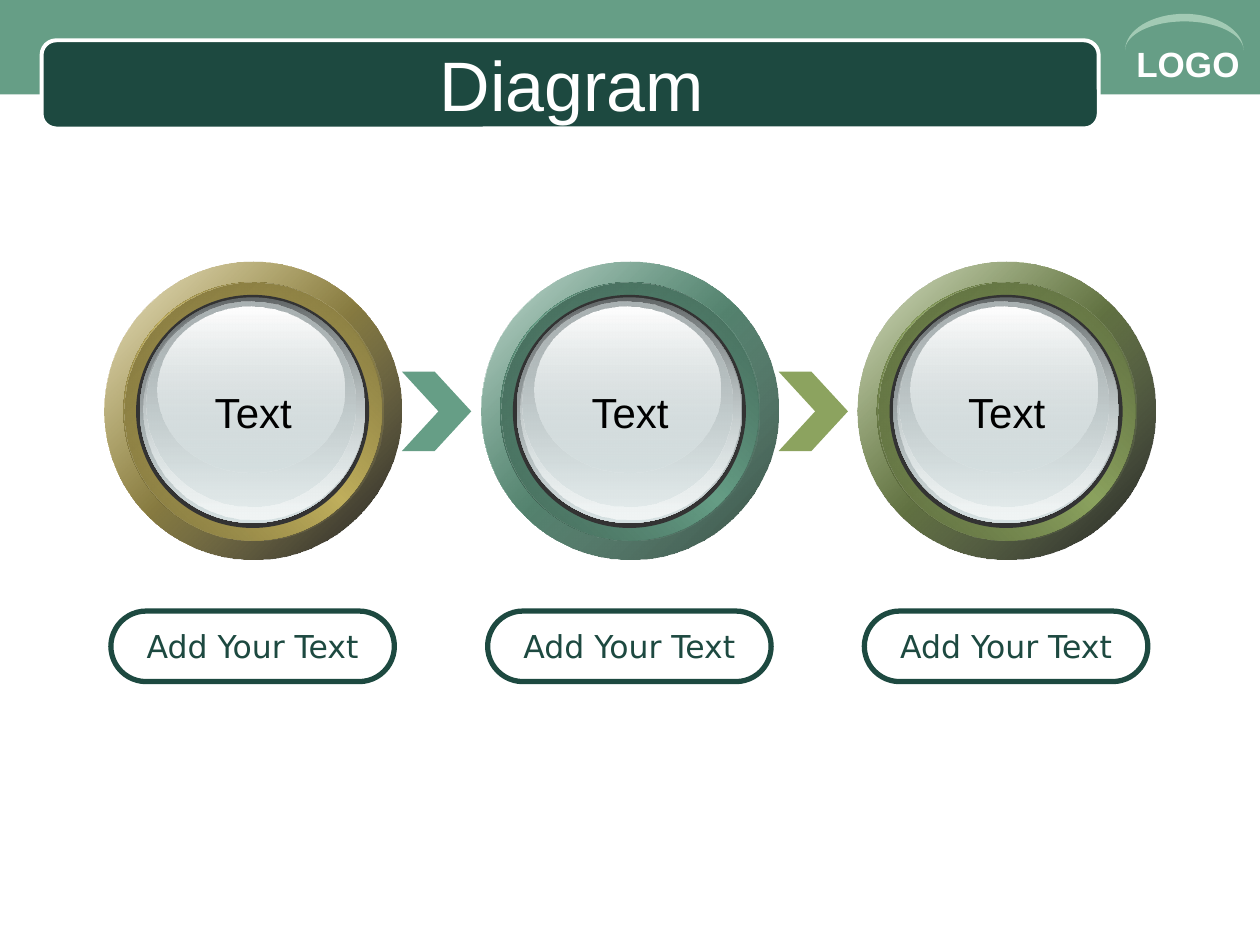
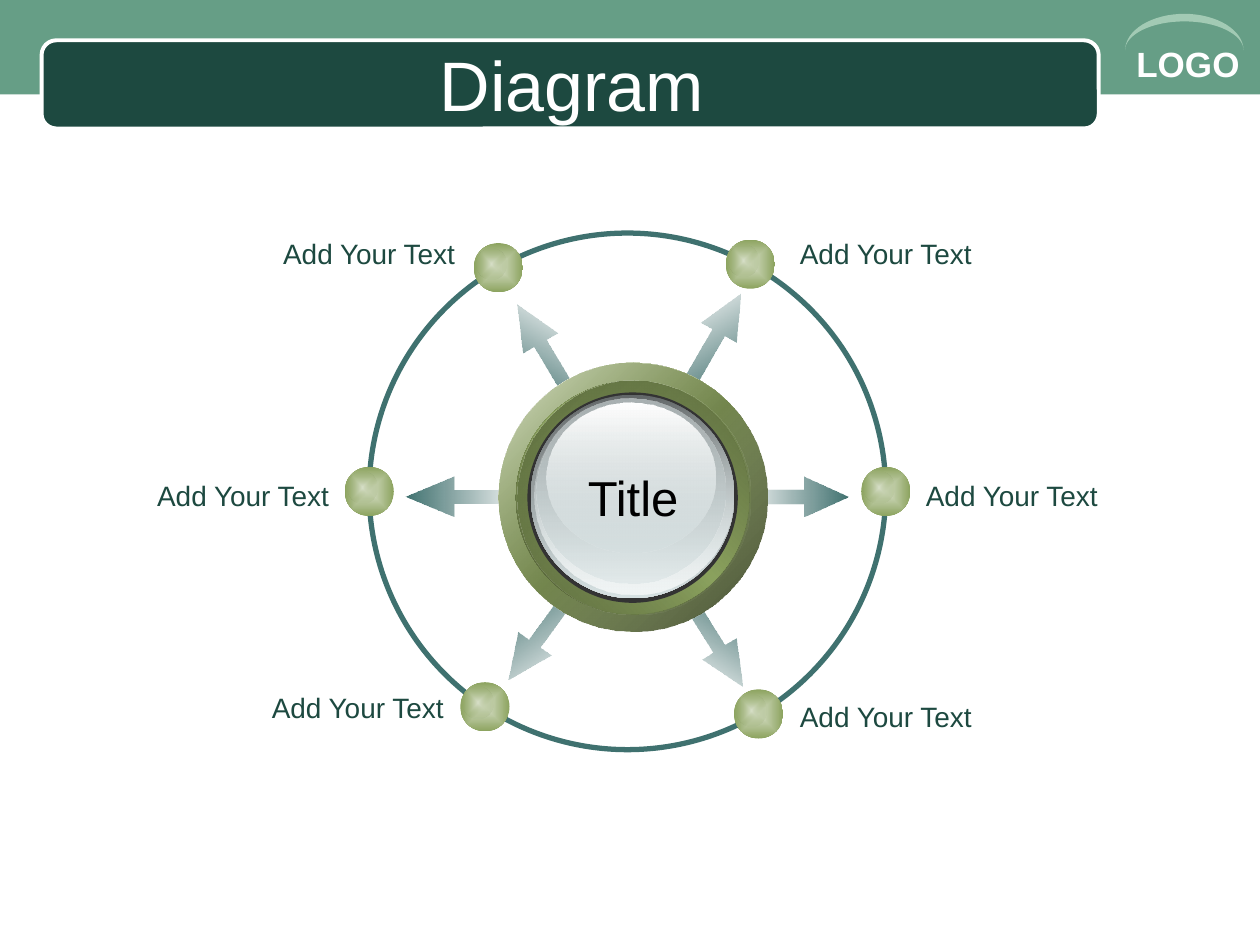
from math import cos, pi, radians, sin

from lxml import etree
from pptx import Presentation
from pptx.dml.color import RGBColor
from pptx.enum.shapes import MSO_SHAPE as Shape
from pptx.enum.text import MSO_ANCHOR as Anchor, MSO_AUTO_SIZE as AutoSize, PP_ALIGN as Align
from pptx.oxml.ns import nsdecls, qn
from pptx.util import Inches, Pt

# Palette
WHITE, BLACK, CHARCOAL = "FFFFFF", "000000", "333333"
FOREST, SAGE, MINT, OLIVE, LAGOON = "1D4940", "669E86", "A2CAB4", "8CA35F", "3F716F"

# Orb tones: face, rim edge, rim sheen, shadow (colour and opacity)
GOLD_ORB = ("C1B05D", "685F32", "7B703B", (BLACK, 90))
TEAL_ORB = (SAGE, "375649", "416455", ("2F493E", 100))
OLIVE_ORB = (OLIVE, "4C5833", "59683C", (BLACK, 90))
HUB_ORB = OLIVE_ORB[:3] + (("414B2C", 100),)

# Content of the process slide: orb text, caption, tones, colour of the chevron after it
PROCESS_TITLE = "Diagram"
STEPS = [
    ("Text", "Add Your Text", GOLD_ORB, SAGE),
    ("Text", "Add Your Text", TEAL_ORB, OLIVE),
    ("Text", "Add Your Text", OLIVE_ORB, None),
]
STEP_LEFT, STEP_TOP, STEP_PITCH, ORB_SIZE = 0.83, 2.08, 2.99, 2.36

# Content of the hub slide: label, its left and top, alignment, bead angle,
# arrow centre, arrow turn, arrow length
HUB_TITLE, HUB_TEXT = "Diagram", "Title"
SPOKES = [
    ("Add Your Text", (6.25, 1.83), Align.LEFT, 298.4, (5.66, 2.71), 299.6, 0.87),
    ("Add Your Text", (7.25, 3.75), Align.LEFT, 0, (6.3, 3.94), 0, 0.87),
    ("Add Your Text", (6.25, 5.5), Align.LEFT, 59.5, (5.66, 5.08), 57.8, 0.87),
    ("Add Your Text", (2.01, 5.43), Align.RIGHT, 123.5, (4.29, 5.04), 125.6, 0.87),
    ("Add Your Text", (1.1, 3.75), Align.RIGHT, 180, (3.69, 3.94), 180, 0.94),
    ("Add Your Text", (2.1, 1.83), Align.RIGHT, 240, (4.33, 2.79), 239.5, 0.87),
]
WHEEL_X, WHEEL_Y, WHEEL_RADIUS = 4.98, 3.9, 2.05
HUB_LEFT, HUB_TOP, HUB_SIZE = 3.96, 2.88, 2.13


def rgb(value):
    return RGBColor.from_string(value)


def inches(*values):
    return [Inches(value) for value in values]


def gradient(shape, stops, angle=None):
    """Fill with (position, colour, opacity) stops; no angle means from the centre."""
    stop_xml = "".join(
        f'<a:gs pos="{place * 1000}"><a:srgbClr val="{colour}">'
        f'<a:alpha val="{opacity * 1000}"/></a:srgbClr></a:gs>'
        for place, colour, opacity in stops)
    if angle is None:
        course = ('<a:path path="rect"><a:fillToRect l="50000" t="50000" '
                  'r="50000" b="50000"/></a:path>')
    else:
        course = f'<a:lin ang="{round(angle * 60000)}" scaled="0"/>'
    shape.fill.background()
    properties = shape.element.spPr
    properties.replace(properties.find(qn("a:noFill")), etree.fromstring(
        f'<a:gradFill {nsdecls("a")} rotWithShape="0">'
        f'<a:gsLst>{stop_xml}</a:gsLst>{course}</a:gradFill>'))


def paint(shape, fill=None, line=None, weight=0):
    shape.shadow.inherit = False
    if fill:
        shape.fill.solid()
        shape.fill.fore_color.rgb = rgb(fill)
    else:
        shape.fill.background()
    if line:
        shape.line.color.rgb = rgb(line)
        shape.line.width = Pt(weight)
    else:
        shape.line.fill.background()
    return shape


def add_shape(page, kind, left, top, width, height, **style):
    return paint(page.shapes.add_shape(kind, *inches(left, top, width, height)), **style)


def add_outline(page, points, fill):
    corners = [inches(*point) for point in points]
    builder = page.shapes.build_freeform(*corners[0])
    builder.add_line_segments(corners[1:], close=True)
    return paint(builder.convert_to_shape(), fill=fill)


def write(shape, text, size, colour, align=Align.LEFT, font="Arial", bold=False,
          anchor=Anchor.TOP, wrap=False):
    frame = shape.text_frame
    frame.word_wrap = wrap
    frame.auto_size = AutoSize.NONE
    frame.vertical_anchor = anchor
    para = frame.paragraphs[0]
    para.alignment = align
    span = para.add_run()
    span.text = text
    span.font.size = Pt(size)
    span.font.name = font
    span.font.bold = bold
    span.font.color.rgb = rgb(colour)


def add_text(page, text, left, top, width, height, size, colour, **style):
    box = page.shapes.add_textbox(*inches(left, top, width, height))
    write(box, text, size, colour, **style)
    return box


def add_page(title):
    page = deck.slides.add_slide(layout)
    write(page.shapes.title, title, 40, WHITE, Align.CENTER, anchor=Anchor.MIDDLE, wrap=True)
    return page


def furnish_layout(page):
    """Draw the shared header on a page, then move it behind the layout's title."""
    band = add_shape(page, Shape.RECTANGLE, 0, 0, 10, 0.75, fill=SAGE)
    plate = add_shape(page, Shape.ROUNDED_RECTANGLE, 0.33, 0.32, 8.39, 0.7,
                      fill=FOREST, line=WHITE, weight=2.24)
    mark = add_text(page, "LOGO", 8.92, 0.29, 1.08, 0.44, 20, WHITE, bold=True)
    turns = [pi * step / 32 for step in range(33)]
    upper = [(9.4 - 0.47 * cos(turn), 0.4 - 0.29 * sin(turn)) for turn in turns]
    lower = [(9.4 + 0.47 * cos(turn), 0.4 - 0.23 * sin(turn)) for turn in turns]
    crescent = add_outline(page, upper + lower[1:-1], MINT)
    for order, shape in enumerate((band, plate, mark, crescent)):
        shape.element.xpath(".//p:cNvPr")[0].set("id", str(100 + order))
        layout.shapes.element.insert(2 + order, shape.element)


def add_orb(page, left, top, size, tones):
    face, edge, sheen, shadow = tones
    scale = size / ORB_SIZE
    # Offset x, offset y, width, height, stops, angle; lengths for a full-size orb
    layers = [
        (0, 0, 2.36, 2.36, [(0, WHITE, 100), (50, face, 100), (100, WHITE, 100)], 45),
        (0, 0, 2.36, 2.36, [(0, face, 32), (100, *shadow)], 45),
        (0.15, 0.16, 2.05, 2.05, [(0, edge, 100), (50, face, 100), (100, edge, 100)], 315),
        (0.16, 0.16, 2.05, 2.05, [(0, sheen, 100), (100, face, 0)], 45),
        (0.25, 0.26, 1.85, 1.85, None, 0),
        (0.28, 0.28, 1.79, 1.79, [(0, "636869", 100), (100, "D6E1E2", 100)], 90),
        (0.31, 0.29, 1.75, 1.75, [(0, "D6E1E2", 0), (100, "F1F5F5", 100)], 90),
        (0.33, 0.31, 1.66, 1.63, [(0, "AAB2B3", 100), (100, "D6E1E2", 48)], 90),
        (0.42, 0.35, 1.48, 1.32, [(0, WHITE, 100), (100, "D6E1E2", 38)], 90),
    ]
    for x, y, width, height, stops, angle in layers:
        disc = add_shape(page, Shape.OVAL, left + x * scale, top + y * scale,
                         width * scale, height * scale, fill=CHARCOAL)
        if stops:
            gradient(disc, stops, angle)


def add_chevron(page, left, top, colour):
    width, height, shoulder, notch = 0.55, 0.63, 0.26, 0.29
    points = [(0, 0), (shoulder, 0), (width, height / 2), (shoulder, height),
              (0, height), (notch, height / 2)]
    add_outline(page, [(left + x, top + y) for x, y in points], colour)


def add_bead(page, x, y):
    size = 0.39
    left, top = x - size / 2, y - size / 2
    body = add_shape(page, Shape.OVAL, left, top, size, size)
    gradient(body, [(0, "D8E0C9", 100), (100, OLIVE, 100)])
    shine = add_shape(page, Shape.OVAL, left + 0.02, top + 0.04, 0.24, 0.25)
    gradient(shine, [(0, "D8E0C9", 100), (100, OLIVE, 0)])


def add_arrow(page, x, y, turn, length):
    height = 0.32
    arrow = add_shape(page, Shape.RIGHT_ARROW, x - length / 2, y - height / 2, length, height)
    arrow.adjustments[0], arrow.adjustments[1] = 0.35, 1.11 * length / 0.87
    arrow.rotation = turn
    gradient(arrow, [(0, "386563", 0), (100, LAGOON, 100)], (360 - turn) % 360)


# Deck and shared layout
deck = Presentation()
deck.slide_width, deck.slide_height = inches(10, 7.5)
layout = deck.slide_layouts[5]
heading = layout.placeholders[0]
heading.left, heading.top, heading.width, heading.height = inches(0.5, 0.35, 8.08, 0.62)

# Process slide: chevrons behind, then orbs with captions
page = add_page(PROCESS_TITLE)
furnish_layout(page)
lefts = [STEP_LEFT + STEP_PITCH * column for column in range(len(STEPS))]
for left, (_, _, _, chevron) in zip(lefts, STEPS):
    if chevron:
        add_chevron(page, left + ORB_SIZE, 2.95, chevron)
for left, (text, caption, tones, _) in zip(lefts, STEPS):
    add_orb(page, left, STEP_TOP, ORB_SIZE, tones)
    pill = add_shape(page, Shape.ROUNDED_RECTANGLE, left + 0.05, 4.85, 2.25, 0.56,
                     line=FOREST, weight=3)
    pill.adjustments[0] = 0.5
    write(pill, caption, 18, FOREST, Align.CENTER, "DejaVu Sans", anchor=Anchor.MIDDLE)
    add_text(page, text, left + (ORB_SIZE - 0.85) / 2, 3.02, 0.85, 0.5, 24, BLACK,
             align=Align.CENTER)

# Hub slide: arrows, wheel, beads with labels, hub
page = add_page(HUB_TITLE)
for _, _, _, _, centre, turn, length in SPOKES:
    add_arrow(page, *centre, turn, length)
add_shape(page, Shape.OVAL, WHEEL_X - WHEEL_RADIUS, WHEEL_Y - WHEEL_RADIUS,
          2 * WHEEL_RADIUS, 2 * WHEEL_RADIUS, line=LAGOON, weight=3)
for label, place, align, bearing, *_ in SPOKES:
    angle = radians(bearing)
    add_bead(page, WHEEL_X + WHEEL_RADIUS * cos(angle), WHEEL_Y + WHEEL_RADIUS * sin(angle))
    add_text(page, label, *place, 1.61, 0.37, 16, FOREST, align=align)
add_orb(page, HUB_LEFT, HUB_TOP, HUB_SIZE, HUB_ORB)
add_text(page, HUB_TEXT, HUB_LEFT + (HUB_SIZE - 0.93) / 2, 3.66, 0.93, 0.57, 28, BLACK,
         align=Align.CENTER)

deck.save("out.pptx")
